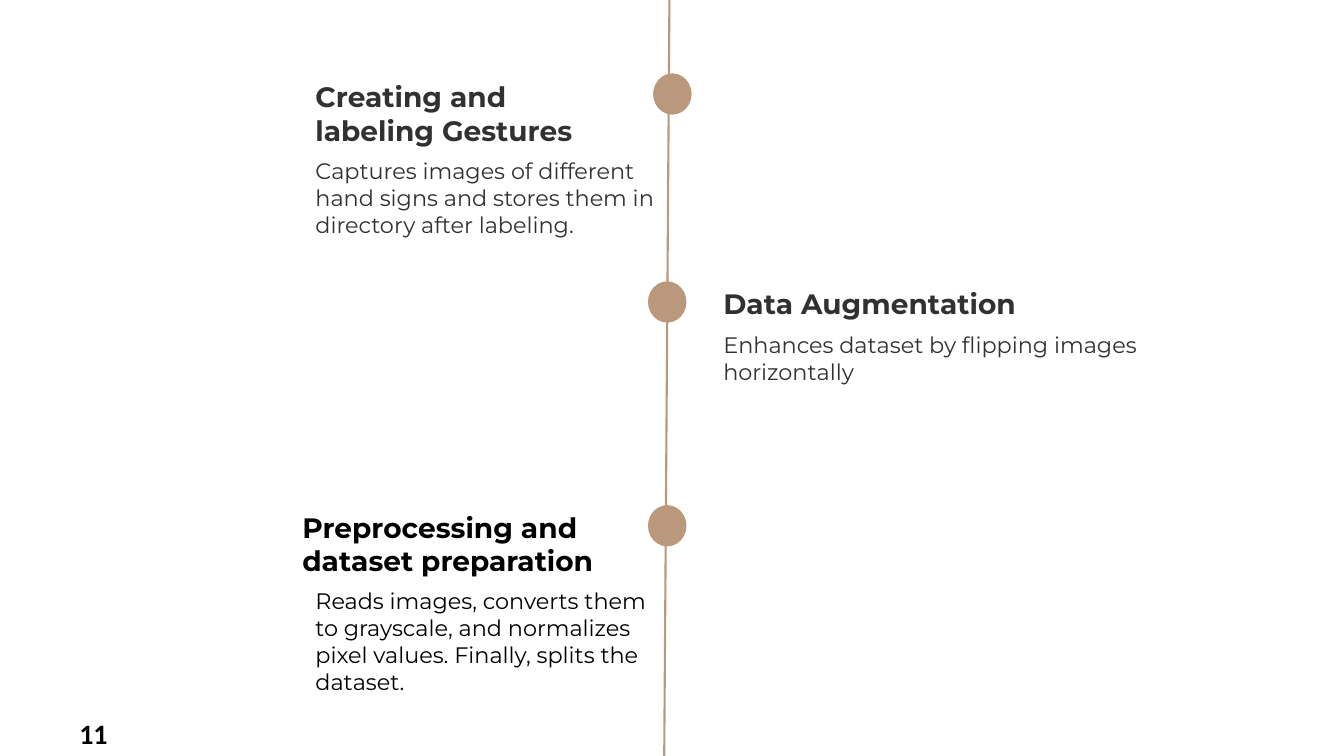
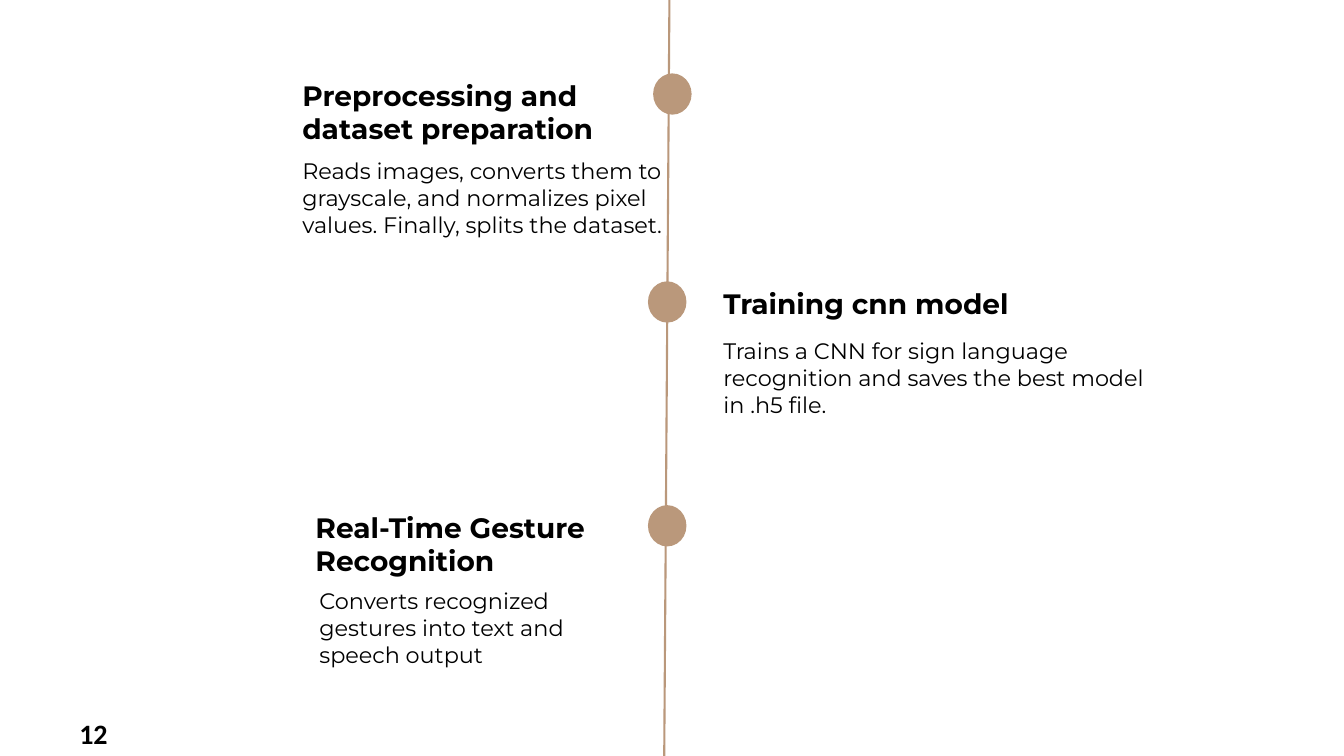
from pptx import Presentation
from pptx.dml.color import RGBColor
from pptx.enum.shapes import MSO_CONNECTOR as Link, MSO_SHAPE as Form
from pptx.enum.text import MSO_AUTO_SIZE as Fit
from pptx.oxml.ns import qn
from pptx.util import Cm, Pt
from lxml.etree import SubElement

TAN = RGBColor(0xBA, 0x98, 0x7B)
GREY = RGBColor(0x31, 0x31, 0x31)
BLACK = RGBColor(0, 0, 0)
FONT = "Montserrat"

# Left and top of the timeline dots, in cm
DOTS = [(16.46, 1.85), (16.33, 7.09), (16.33, 12.73)]

PREP = "Preprocessing and dataset preparation"
READS = ("Reads images, converts them to grayscale, and normalizes "
         "pixel values. Finally, splits the dataset.")

# Per slide: number and steps; a step is colour, head and body,
# the latter two as text and (left, top, width, height) in cm
SLIDES = [
    ("11", [
        (GREY, ("Creating and labeling Gestures", (7.7, 1.88, 7.62, 1.96)),
         ("Captures images of different hand signs and stores them in "
          "directory after labeling.", (7.7, 3.84, 9.7, 2.31))),
        (GREY, ("Data Augmentation", (17.98, 7.09, 9.47, 1.96)),
         ("Enhances dataset by flipping images horizontally",
          (17.98, 8.23, 11.18, 1.63))),
        (BLACK, (PREP, (7.37, 12.73, 7.95, 1.96)),
         (READS, (7.7, 14.68, 8.89, 3))),
    ]),
    ("12", [
        (BLACK, (PREP, (7.37, 1.85, 7.95, 1.96)),
         (READS, (7.37, 3.84, 9.7, 2.31))),
        (BLACK, ("Training cnn model", (17.98, 7.09, 9.47, 2.82)),
         ("Trains a CNN for sign language recognition and saves the best "
          "model in .h5 file.", (17.98, 8.38, 11.58, 2.31))),
        (BLACK, ("Real-Time Gesture Recognition", (7.7, 12.73, 7.95, 2.82)),
         ("Converts recognized gestures into text and speech output",
          (7.8, 14.68, 8.74, 2.31))),
    ]),
]


def add_text(slide, text, box, size, color, bold=False, face=FONT):
    frame = slide.shapes.add_textbox(*map(Cm, box)).text_frame
    frame.word_wrap = True
    frame.auto_size = Fit.SHAPE_TO_FIT_TEXT
    para = frame.paragraphs[0]
    para.text = text
    font = para.font
    font.name, font.size, font.bold = face, Pt(size), bold
    font.color.rgb = color


def add_axis(slide):
    axis = slide.shapes.add_connector(
        Link.STRAIGHT, Cm(16.87), Cm(0), Cm(16.74), Cm(19.07))
    axis.line.color.rgb = TAN
    axis.line.width = Pt(1.5)
    SubElement(axis.element.spPr, qn("a:effectLst"))


def add_dot(slide, left, top):
    dot = slide.shapes.add_shape(
        Form.FLOWCHART_CONNECTOR, Cm(left), Cm(top), Cm(0.97), Cm(1.04))
    dot.shadow.inherit = False
    dot.fill.solid()
    dot.fill.fore_color.rgb = TAN
    dot.line.fill.background()


def add_step(slide, spot, color, head, body):
    add_dot(slide, *spot)
    add_text(slide, *head, 20, color, bold=True)
    add_text(slide, *body, 16, color)


def main():
    deck = Presentation()
    deck.slide_width, deck.slide_height = Cm(33.87), Cm(19.05)
    blank = deck.slide_layouts[6]
    for number, steps in SLIDES:
        slide = deck.slides.add_slide(blank)
        add_axis(slide)
        for spot, step in zip(DOTS, steps):
            add_step(slide, spot, *step)
        # Page number
        add_text(slide, number, (1.75, 17.93, 1.5, 1.12), 20, BLACK,
                 bold=True, face="Calibri")
    deck.save("out.pptx")


if __name__ == "__main__":
    main()
